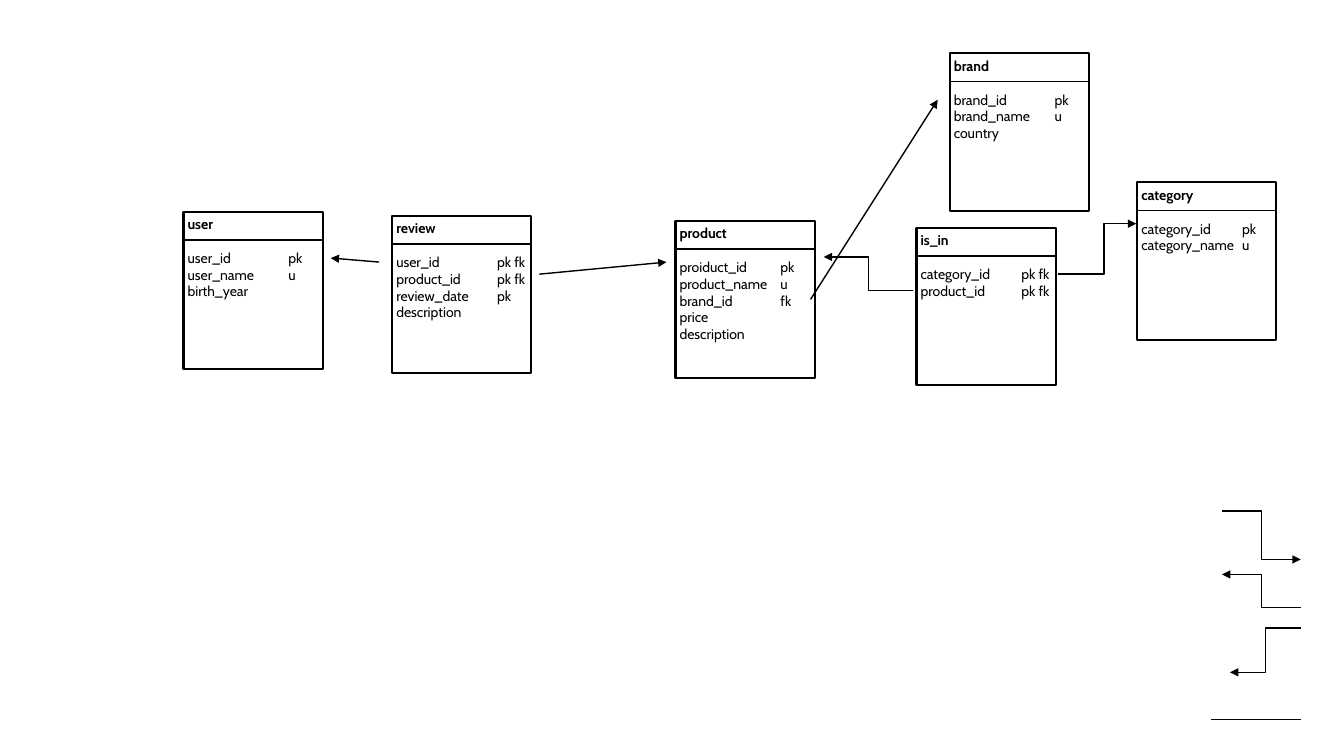
from pptx import Presentation
from pptx.dml.color import RGBColor
from pptx.enum.shapes import MSO_CONNECTOR, MSO_SHAPE
from pptx.enum.text import MSO_ANCHOR, PP_ALIGN
from pptx.oxml.ns import qn
from pptx.util import Inches, Pt
from lxml import etree

RECTANGLE = MSO_SHAPE.RECTANGLE
STRAIGHT, ELBOW = MSO_CONNECTOR.STRAIGHT, MSO_CONNECTOR.ELBOW
TOP, LEFT = MSO_ANCHOR.TOP, PP_ALIGN.LEFT

COLORS = {"ink": "000000"}
INK = RGBColor.from_string(COLORS["ink"])
BOX_WIDTH, BOX_HEIGHT, HEADER_HEIGHT = 1.38, 1.56, 0.28
INSET, KEY_TAB = 0.04, 1

ENTITIES = [
    ("user", 1.82, 2.1, ["user_id\tpk", "user_name \tu", "birth_year"]),
    ("brand", 9.42, 0.53, ["brand_id\tpk", "brand_name \tu", "country"]),
    ("category", 11.28, 1.81, ["category_id\tpk", "category_name\tu"]),
    ("review", 3.89, 2.14,
     ["user_id\tpk fk", "product_id\tpk fk", "review_date\tpk", "description"]),
    ("is_in", 9.09, 2.26, ["category_id\tpk fk", "product_id\tpk fk"]),
    ("product", 6.7, 2.19,
     ["proiduct_id\tpk", "product_name\tu", "brand_id \tfk", "price", "description"]),
]

STRAIGHT_ARROWS = [
    ((8.04, 2.97), (9.3, 0.99)),
    ((5.35, 2.72), (6.61, 2.6)),
    ((3.76, 2.6), (3.28, 2.56)),
]

ELBOW_ARROWS = [
    ((10.49, 2.72), (11.27, 2.22), 0.59),
    ((9.06, 2.88), (8.17, 2.55), 0.5),
    ((12.12, 5.07), (12.9, 5.55), 0.5),
    ((12.9, 6.03), (12.12, 5.7), 0.5),
    ((12.9, 6.23), (12.2, 6.67), 0.5),
]


def apply_format(target, values):
    for name, value in values.items():
        setattr(target, name, value)


def add_line(shapes, start, end, kind=STRAIGHT, arrow=False, bend=0.5):
    points = [Inches(value) for value in (*start, *end)]
    connector = shapes.add_connector(kind, *points)
    connector.line.color.rgb = INK
    connector.line.width = Pt(1)
    properties = connector._element.spPr
    if arrow:
        etree.SubElement(properties.find(qn("a:ln")), qn("a:tailEnd"), type="triangle")
    if kind == ELBOW:
        guides = properties.find(qn("a:prstGeom")).find(qn("a:avLst"))
        etree.SubElement(guides, qn("a:gd"), name="adj1", fmla=f"val {round(bend * 100000)}")
    etree.SubElement(properties, qn("a:effectLst"))


def write_paragraph(paragraph, text, bold=False):
    paragraph.alignment = LEFT
    tabs = etree.SubElement(paragraph._p.get_or_add_pPr(), qn("a:tabLst"))
    etree.SubElement(tabs, qn("a:tab"), pos=str(Inches(KEY_TAB)), algn="l")
    run = paragraph.add_run()
    run.text = text
    apply_format(run.font, {"name": "Cabin", "size": Pt(10), "bold": bold})
    run.font.color.rgb = INK


def add_entity(slide, name, left, top, columns):
    group = slide.shapes.add_group_shape()
    box = group.shapes.add_shape(
        RECTANGLE, Inches(left), Inches(top), Inches(BOX_WIDTH), Inches(BOX_HEIGHT))
    box.shadow.inherit = False
    box.fill.background()
    box.line.color.rgb = INK
    box.line.width = Pt(1.5)
    frame = box.text_frame
    margins = {f"margin_{side}": Inches(INSET) for side in ("left", "top", "right", "bottom")}
    apply_format(frame, {"word_wrap": True, "vertical_anchor": TOP, **margins})
    heading = frame.paragraphs[0]
    heading.space_after = Pt(12)
    write_paragraph(heading, name, bold=True)
    for column in columns:
        write_paragraph(frame.add_paragraph(), column)
    divider = top + HEADER_HEIGHT
    add_line(group.shapes, (left, divider), (left + BOX_WIDTH, divider))


def main():
    presentation = Presentation()
    presentation.slide_width = Inches(13.33)
    presentation.slide_height = Inches(7.5)
    slide = presentation.slides.add_slide(presentation.slide_layouts[6])
    for entity in ENTITIES:
        add_entity(slide, *entity)
    for start, end in STRAIGHT_ARROWS:
        add_line(slide.shapes, start, end, arrow=True)
    for start, end, bend in ELBOW_ARROWS:
        add_line(slide.shapes, start, end, ELBOW, True, bend)
    add_line(slide.shapes, (12.01, 7.14), (12.9, 7.14))
    presentation.save("out.pptx")


if __name__ == "__main__":
    main()
